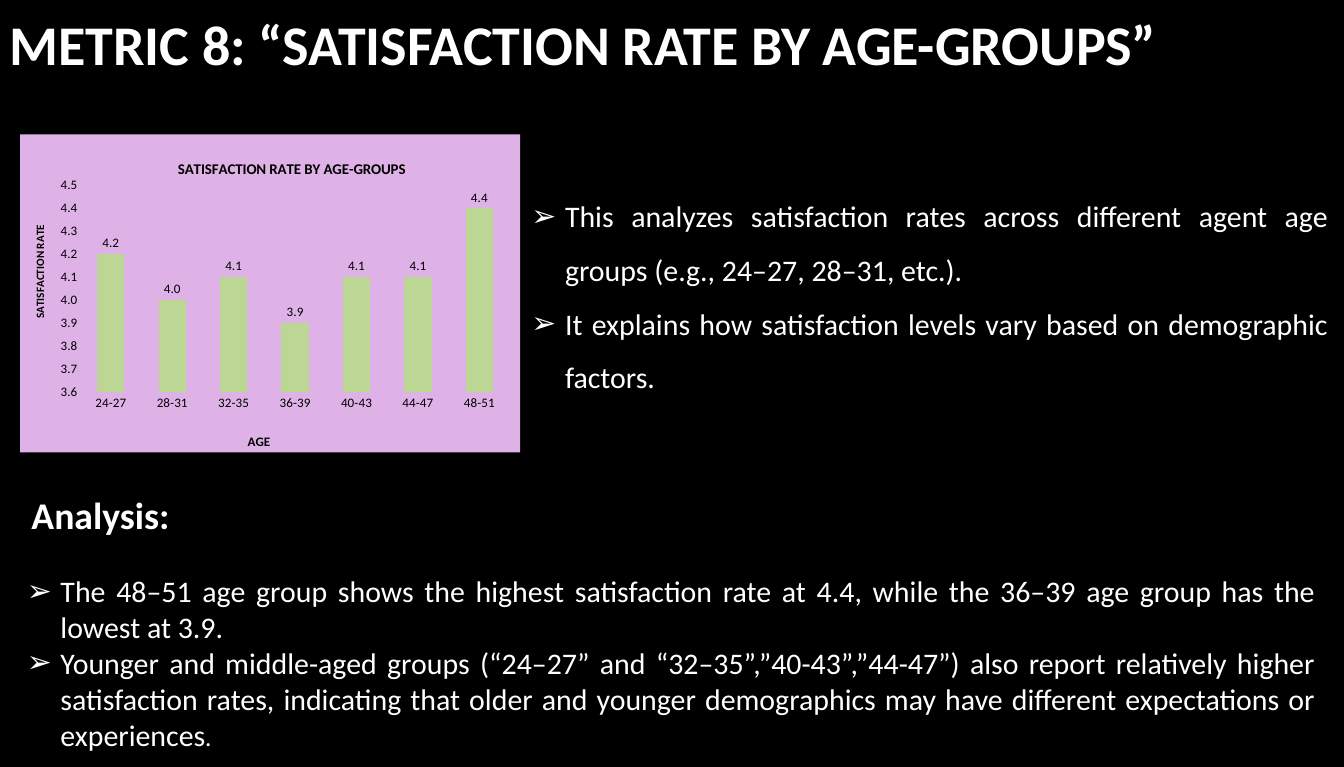
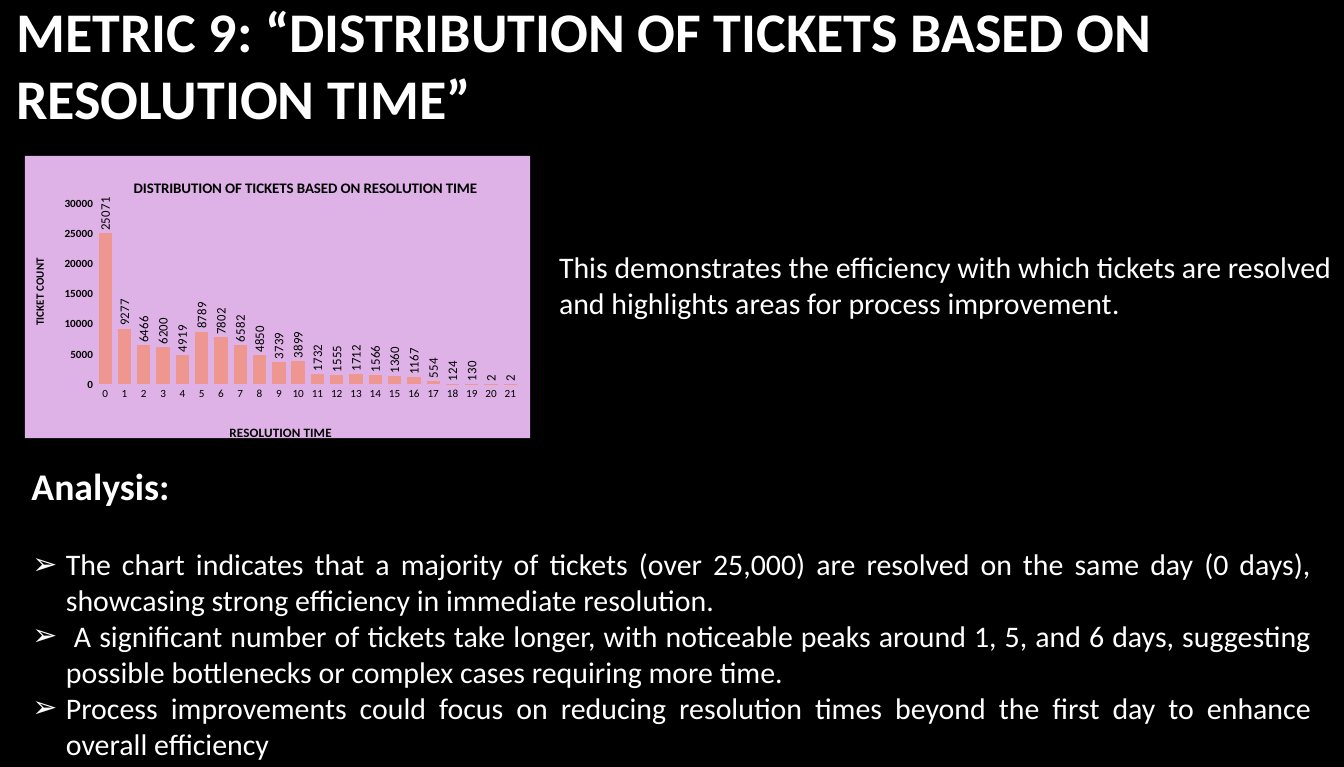
from lxml import etree
from pptx import Presentation
from pptx.chart.data import CategoryChartData
from pptx.dml.color import RGBColor
from pptx.enum.chart import XL_CHART_TYPE, XL_LABEL_POSITION, XL_TICK_MARK
from pptx.enum.text import MSO_ANCHOR, MSO_AUTO_SIZE, PP_ALIGN
from pptx.oxml import parse_xml
from pptx.oxml.ns import nsdecls, qn
from pptx.util import Inches, Pt

COLUMN = XL_CHART_TYPE.COLUMN_CLUSTERED
OUTSIDE = XL_LABEL_POSITION.OUTSIDE_END
NO_TICK = XL_TICK_MARK.NONE
LEFT, JUSTIFY = PP_ALIGN.LEFT, PP_ALIGN.JUSTIFY
TOP, MIDDLE = MSO_ANCHOR.TOP, MSO_ANCHOR.MIDDLE
FIXED, GROW = MSO_AUTO_SIZE.NONE, MSO_AUTO_SIZE.SHAPE_TO_FIT_TEXT

FONT = "Calibri"
BLACK = RGBColor(0x00, 0x00, 0x00)
WHITE = RGBColor(0xFF, 0xFF, 0xFF)
LILAC = RGBColor(0xDE, 0xB2, 0xE6)
GREEN = RGBColor(0xBC, 0xD6, 0x94)
CORAL = RGBColor(0xEE, 0x97, 0x91)
UPRIGHT = "-5400000"

SLIDES = [
    {
        "title": "METRIC 8: “SATISFACTION RATE BY AGE-GROUPS”",
        "title_at": (0.04, -0.51, 20, 2.3),
        "chart": {
            "at": (0.3, 2, 7.44, 4.76),
            "cats": [f"{age}-{age + 3}" for age in range(24, 49, 4)],
            "vals": [4.2, 4, 4.1, 3.9, 4.1, 4.1, 4.4],
            "color": GREEN, "gap": 126, "format": "0.0",
            "scale": (3.6, 4.5, 0.1), "tick": 14, "bold": False, "turn": "0",
            "plot": (0.12, 0.16, 0.86, 0.65),
            "head": ("SATISFACTION RATE BY AGE-GROUPS", 0.31, 0.07),
            "x_name": ("AGE", 0.45, 0.93),
            "y_name": ("SATISFACTION RATE", 0.02, 0.28),
        },
        "intro": [
            [("This analyzes satisfaction rates across different agent age "
              "groups (e.g., 24–27, 28–31, etc.).", {})],
            [("It explains how satisfaction levels vary based on demographic "
              "factors.", {})],
        ],
        "intro_at": (7.81, 2.63, 12.06, 3.25),
        "intro_form": {"bullet": True, "spacing": 1.5},
        "label_top": 7.27,
        "points": [
            [("The 48–51 age group shows the highest satisfaction rate at 4.4, "
              "while the 36–39 age group has the lowest at 3.9.", {})],
            [("Younger and middle-aged groups (“24–27” and “32–35”,”40-43”,”44-47”) "
              "also report relatively higher satisfaction rates, indicating that "
              "older and younger demographics may have different expectations or "
              "experiences", {}),
             (".", {"size": 26.9, "italic": True})],
        ],
        "points_at": (0.3, 8.48, 19.39, 2.79),
    },
    {
        "title": "METRIC 9: “DISTRIBUTION OF TICKETS BASED ON RESOLUTION TIME”",
        "title_at": (0.14, -0.2, 20.33, 2.3),
        "chart": {
            "at": (0.37, 2.32, 7.52, 4.3),
            "cats": [str(day) for day in range(22)],
            "vals": [25071, 9277, 6466, 6200, 4919, 8789, 7802, 6582, 4850, 3739, 3899,
                     1732, 1555, 1712, 1566, 1360, 1167, 554, 124, 130, 2, 2],
            "color": CORAL, "gap": 45, "format": "General",
            "scale": (0, 30000, 5000), "tick": 12, "bold": True, "turn": UPRIGHT,
            "plot": (0.14, 0.17, 0.84, 0.64),
            "head": ("DISTRIBUTION OF TICKETS BASED ON RESOLUTION TIME", 0.21, 0.07),
            "x_name": ("RESOLUTION TIME", 0.4, 0.94),
            "y_name": ("TICKET COUNT", 0.01, 0.36),
        },
        "intro": [
            [("This demonstrates the efficiency with which tickets are resolved and "
              "highlights areas for process improvement", {}),
             (".", {"italic": True})],
        ],
        "intro_at": (8.22, 3.65, 12.01, 1.18),
        "intro_form": {},
        "label_top": 6.84,
        "points": [
            [("The chart indicates that a majority of tickets (over 25,000) are "
              "resolved on the same day (0 days), showcasing strong efficiency in "
              "immediate resolution.", {})],
            [(" A significant number of tickets take longer, with noticeable peaks "
              "around 1, 5, and 6 days, suggesting possible bottlenecks or complex "
              "cases requiring more time.", {})],
            [("Process improvements could focus on reducing resolution times beyond "
              "the first day to enhance overall efficiency", {})],
        ],
        "points_at": (0.38, 8.08, 19.25, 3.33),
    },
]


def assign(target, **values):
    """Set each named attribute on the target."""
    for name, value in values.items():
        setattr(target, name, value)


def style(font, size, color=WHITE, bold=False, italic=False):
    """Give a font its face, size, weight and colour."""
    assign(font, name=FONT, size=Pt(size), bold=bold, italic=italic)
    font.color.rgb = color


def move(shape, at):
    """Place a shape at left, top, width, height in inches."""
    assign(shape, **dict(zip(("left", "top", "width", "height"), map(Inches, at))))


def mark(para):
    """Give a paragraph an arrow bullet with a hanging indent."""
    props = para._p.get_or_add_pPr()
    props.set("marL", str(Inches(0.5)))
    props.set("indent", str(-Inches(0.5)))
    etree.SubElement(props, qn("a:buFont")).set("typeface", "Arial")
    etree.SubElement(props, qn("a:buChar")).set("char", "➢")


def write(shape, paras, size, bold=False, bullet=False, spacing=1.0,
          anchor=TOP, fit=GROW):
    """Fill a shape with paragraphs of formatted runs."""
    frame = shape.text_frame
    assign(frame, word_wrap=True, auto_size=fit, vertical_anchor=anchor)
    for i, runs in enumerate(paras):
        para = frame.add_paragraph() if i else frame.paragraphs[0]
        assign(para, alignment=JUSTIFY if bullet else LEFT, line_spacing=spacing,
               space_before=Pt(0), space_after=Pt(0))
        if bullet:
            mark(para)
        for text, extra in runs:
            run = para.add_run()
            run.text = text
            style(run.font, **{"size": size, "bold": bold, **extra})


def add_box(slide, at, paras, size, **form):
    """Add a text box."""
    box = slide.shapes.add_textbox(*map(Inches, at))
    write(box, paras, size, **form)


def pin(parent, index, spots, inner=False):
    """Fix the layout of a chart part as fractions of the chart."""
    for old in parent.findall(qn("c:layout")):
        parent.remove(old)
    target = '<c:layoutTarget val="inner"/>' if inner else ""
    modes = '<c:xMode val="edge"/><c:yMode val="edge"/>'
    sizes = "".join(f'<c:{key} val="{spot}"/>' for key, spot in zip("xywh", spots))
    parent.insert(index, parse_xml(
        f'<c:layout {nsdecls("c")}><c:manualLayout>{target}{modes}{sizes}'
        "</c:manualLayout></c:layout>"))


def name_part(owner, label, size, turn="0"):
    """Title a chart or an axis at a fixed spot."""
    text, *spot = label
    owner.has_title = True
    title = owner.chart_title if hasattr(owner, "chart_title") else owner.axis_title
    frame = title.text_frame
    frame.text = text
    style(frame.paragraphs[0].runs[0].font, size, BLACK, True)
    frame._txBody.find(qn("a:bodyPr")).set("rot", turn)
    pin(title._element, 1, spot)


def set_axis(axis, size, bold=False):
    """Clear an axis of lines and ticks and style its labels."""
    assign(axis, has_major_gridlines=False, has_minor_gridlines=False,
           major_tick_mark=NO_TICK, minor_tick_mark=NO_TICK)
    axis.format.line.fill.background()
    style(axis.tick_labels.font, size, BLACK, bold)


def add_bars(slide, item):
    """Add a column chart on a lilac panel."""
    data = CategoryChartData(number_format=item["format"])
    data.categories = item["cats"]
    data.add_series("Series 1", item["vals"])
    chart = slide.shapes.add_chart(COLUMN, *map(Inches, item["at"]), data).chart
    chart.has_legend = False
    style(chart.font, 10)
    space = chart._chartSpace
    space.find(qn("c:chart")).addnext(parse_xml(
        f'<c:spPr {nsdecls("c", "a")}><a:solidFill><a:srgbClr val="{LILAC}"/>'
        "</a:solidFill><a:ln><a:noFill/></a:ln></c:spPr>"))

    plot = chart.plots[0]
    assign(plot, gap_width=item["gap"], overlap=-27, vary_by_categories=False,
           has_data_labels=True)
    fill = plot.series[0].format.fill
    fill.solid()
    fill.fore_color.rgb = item["color"]
    labels = plot.data_labels
    assign(labels, show_value=True, position=OUTSIDE, number_format=item["format"],
           number_format_is_linked=False)
    style(labels.font, 14, BLACK)
    labels._element.find(".//" + qn("a:bodyPr")).set("rot", item["turn"])

    low, high, step = item["scale"]
    rows, cols = chart.value_axis, chart.category_axis
    assign(rows, minimum_scale=low, maximum_scale=high, major_unit=step)
    assign(rows.tick_labels, number_format=item["format"],
           number_format_is_linked=False)
    set_axis(cols, item["tick"])
    set_axis(rows, item["tick"], item["bold"])
    name_part(chart, item["head"], 16)
    name_part(cols, item["x_name"], 14)
    name_part(rows, item["y_name"], 12, UPRIGHT)
    pin(space.find(".//" + qn("c:plotArea")), 0, item["plot"], inner=True)


def add_page(deck, page):
    """Add one metric slide with chart, intro and analysis."""
    slide = deck.slides.add_slide(deck.slide_layouts[1])
    title, body = slide.shapes.title, slide.placeholders[1]
    move(title, page["title_at"])
    write(title, [[(page["title"], {})]], 60, bold=True, anchor=MIDDLE, fit=FIXED)
    add_bars(slide, page["chart"])
    add_box(slide, page["intro_at"], page["intro"], 32, **page["intro_form"])
    add_box(slide, (0.37, page["label_top"], 2.4, 0.79), [[("Analysis:", {})]],
            40.4, bold=True)
    move(body, page["points_at"])
    write(body, page["points"], 32, bullet=True)


def main():
    """Build the deck."""
    deck = Presentation()
    assign(deck, slide_width=Inches(20), slide_height=Inches(11.42))
    back = deck.slide_master.background.fill
    back.solid()
    back.fore_color.rgb = BLACK
    for page in SLIDES:
        add_page(deck, page)
    deck.save("out.pptx")


if __name__ == "__main__":
    main()
